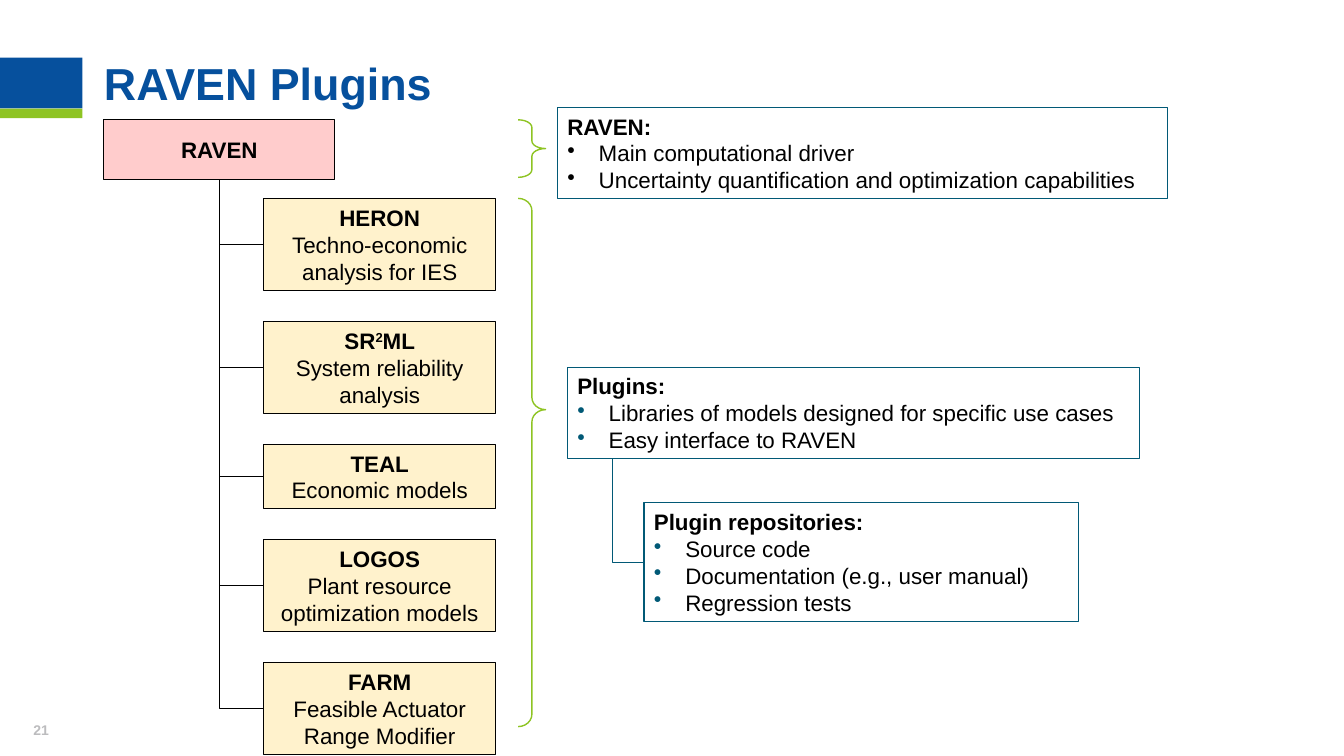
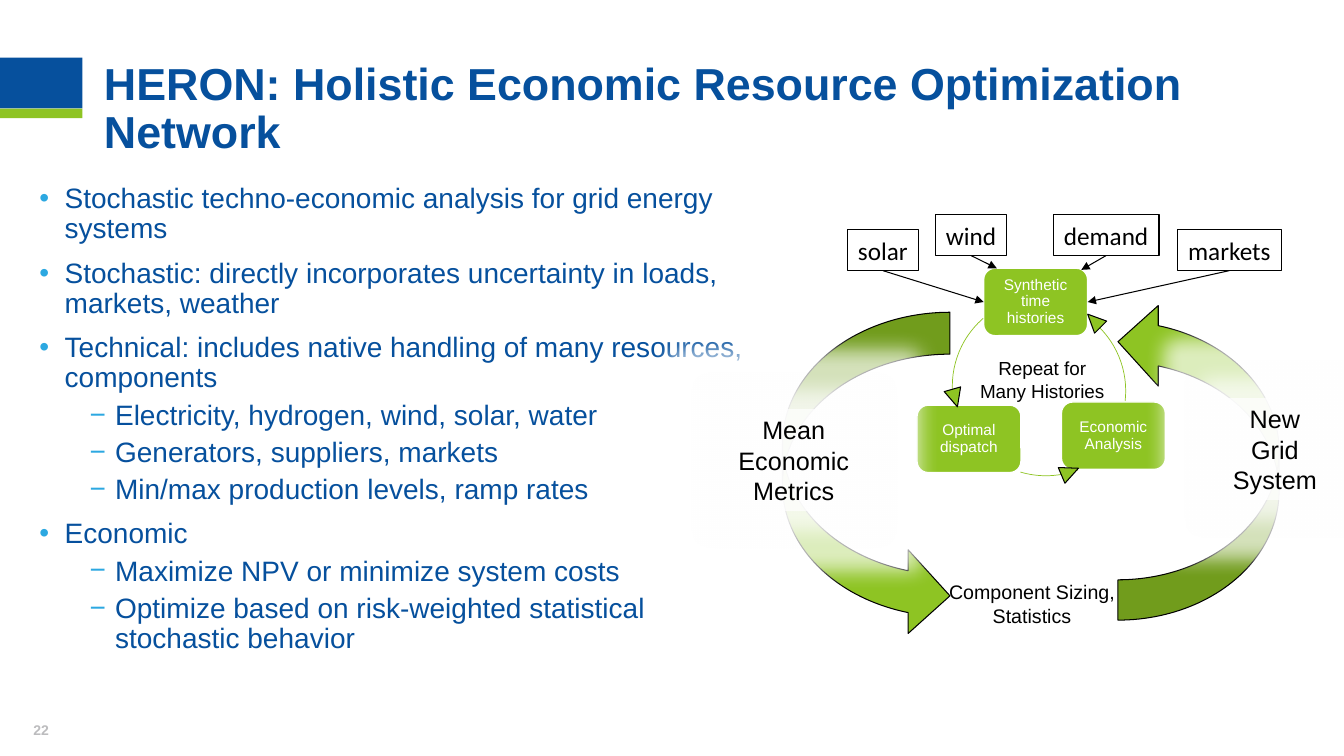
import pptx
import pptx.util
import pptx.dml.color
import pptx.enum.shapes
import pptx.enum.text
import pptx.oxml
import pptx.oxml.ns

Cm, Pt = pptx.util.Cm, pptx.util.Pt
RGB = pptx.dml.color.RGBColor
SHAPE = pptx.enum.shapes.MSO_SHAPE
CONNECTOR = pptx.enum.shapes.MSO_CONNECTOR
ALIGN = pptx.enum.text.PP_ALIGN
ANCHOR = pptx.enum.text.MSO_ANCHOR
qn = pptx.oxml.ns.qn

BLUE = RGB(0x06, 0x50, 0x9D)
GREEN = RGB(0x8E, 0xC4, 0x23)
TEAL = RGB(0x01, 0x59, 0x76)
SKY = RGB(0x2C, 0xA8, 0xE1)
GREY = RGB(0xBC, 0xBC, 0xBE)
PINK = RGB(0xFF, 0xCC, 0xCC)
CREAM = RGB(0xFF, 0xF2, 0xCC)
BLACK = RGB(0, 0, 0)
WHITE = RGB(255, 255, 255)

BANDS = [((0, 1.45, 2.08, 1.28), BLUE), ((0, 2.74, 2.08, 0.24), GREEN)]
TITLE_AT = (2.62, 1.55, 28.93, 1.37)
NUMBER_AT = (0.43, 18.03, 1.22, 1.02)
TITLE_FONT = dict(size=Pt(32), bold=True, color=BLUE)
NUMBER_FONT = dict(size=Pt(10), bold=True, color=GREY)

RAVEN_AT = (2.62, 3.02, 5.82, 1.5)
PLUGIN_LEFT, PLUGIN_TOP, PLUGIN_WIDTH, PLUGIN_GAP = 6.65, 5, 5.84, 0.78
PLUGINS = [
    ("HERON", "Techno-economic analysis for IES", 2.32),
    ("SR^2^ML", "System reliability analysis", 2.32),
    ("TEAL", "Economic models", 1.62),
    ("LOGOS", "Plant resource optimization models", 2.32),
    ("FARM", "Feasible Actuator Range Modifier", 2.32),
]
BRACES = [((13.06, 5, 0.69, 13.31), (0.45, 0.4)), ((13.06, 3.02, 0.69, 1.45), (0.28, 0.5))]
NOTES = [
    ((14.05, 2.7, 15.37, 2.31), BLACK, "RAVEN:",
     ["Main computational driver", "Uncertainty quantification and optimization capabilities"]),
    ((14.3, 9.25, 14.43, 2.31), TEAL, "Plugins:",
     ["Libraries of models designed for specific use cases", "Easy interface to RAVEN"]),
    ((16.23, 12.67, 10.95, 3), TEAL, "Plugin repositories:",
     ["Source code", "Documentation (e.g., user manual)", "Regression tests"]),
]
REPOSITORY_START = (15.44, 11.56)

BODY_AT = (0.99, 4.65, 18.31, 12.22)
BODY = [
    (0, "Stochastic techno-economic analysis for grid energy systems"),
    (0, "Stochastic: directly incorporates uncertainty in loads, markets, weather"),
    (0, "Technical: includes native handling of many resources, components"),
    (1, "Electricity, hydrogen, wind, solar, water"),
    (1, "Generators, suppliers, markets"),
    (1, "Min/max production levels, ramp rates"),
    (0, "Economic"),
    (1, "Maximize NPV or minimize system costs"),
    (1, "Optimize based on risk-weighted statistical stochastic behavior"),
]
LEVELS = [("•", 0.64, 10), ("−", 1.91, 5)]

NODE_SIZE = (2.62, 1.7)
NODES = [
    ("Synthetic time histories", (24.79, 6.76)),
    ("Economic Analysis", (26.75, 10.13)),
    ("Optimal dispatch", (23.11, 10.21)),
]
ARC_SIZE = (4.52, 4.52)
ARCS = [((23.85, 7.59), (-54, 6.5)), ((24.1, 7.47), (69, 106.5)), ((24, 7.47), (168.5, -131))]
TRIANGLE_SIZE = (0.43, 0.46)
TRIANGLES = [((27.36, 7.85), 315), ((23.85, 9.8), 164), ((26.75, 11.66), 67)]
LOOP_ARROWS = [((26.19, 9.58, 8.03, 4.06), 270), ((17.73, 9.86, 8.2, 4.22), 90)]
CAPTIONS = [
    ((23.65, 14.5, 4.72, 1.45), 14, False, ["Component Sizing,", "Statistics"]),
    ((24.41, 8.86, 3.71, 1.42), 13.5, True, ["Repeat for Many Histories"]),
]
INPUTS = [
    ("solar", (21.36, 5.79, 1.78, 1.03), 1),
    ("wind", (23.57, 5.41, 1.8, 1.03), (25.12, 6.76)),
    ("demand", (26.54, 5.41, 2.67, 1.03), (27.25, 6.8)),
    ("markets", (29.67, 5.79, 2.62, 1.03), 3),
]
STAGES = [
    ((18.34, 10.31, 3.33, 2.57), ["Mean", "Economic", "Metrics"]),
    ((30.81, 10.03, 2.64, 2.57), ["New", "Grid", "System"]),
]


def xml(parent, tag, **attrs):
    el = parent.makeelement(qn(tag), attrs)
    parent.append(el)
    return el


def place(sp, at):
    for name, value in zip(("left", "top", "width", "height"), at):
        setattr(sp, name, Cm(value))


def set_frame(tf, **values):
    for name, value in values.items():
        setattr(tf, name, value)


def set_margins(tf, *margins):
    for side, value in zip(("left", "top", "right", "bottom"), margins):
        setattr(tf, "margin_" + side, Cm(value))


def write(p, text, color=BLACK, name="Arial", **font):
    for i, part in enumerate(text.split("^")):
        r = p.add_run()
        r.text = part
        r.font.color.rgb = color
        for key, value in dict(font, name=name).items():
            setattr(r.font, key, value)
        if i % 2:
            r.font._element.set("baseline", "30000")


def next_paragraph(tf):
    p = tf.paragraphs[0]
    return tf.add_paragraph() if p.runs else p


def write_lines(tf, lines, align=ALIGN.CENTER, **font):
    for line in lines:
        p = next_paragraph(tf)
        p.alignment = align
        write(p, line, **font)


def bullet(p, char, color, left, hang):
    pPr = p._p.get_or_add_pPr()
    pPr.set("marL", str(Cm(left)))
    pPr.set("indent", str(-Cm(hang)))
    xml(xml(pPr, "a:buClr"), "a:srgbClr", val=str(color))
    xml(pPr, "a:buChar", char=char)


def add_shape(slide, kind, at, fill=None, line=None, width=0.75):
    sp = slide.shapes.add_shape(kind, *map(Cm, at))
    sp.shadow.inherit = False
    if fill is None:
        sp.fill.background()
    else:
        sp.fill.solid()
        sp.fill.fore_color.rgb = fill
    if line is None:
        sp.line.fill.background()
    else:
        sp.line.color.rgb = line
        sp.line.width = Pt(width)
    return sp


def add_line(slide, kind, start, end, color=BLACK, width=0.75):
    c = slide.shapes.add_connector(kind, *start, *end)
    c.line.color.rgb = color
    c.line.width = Pt(width)
    xml(c._element.spPr, "a:effectLst")
    return c


def add_elbow(slide, start, target, color, source=None):
    x, y = start
    end_x, end_y = target.left, target.top + target.height // 2
    c = add_line(slide, CONNECTOR.ELBOW, start, (end_x, end_y), color, 1)
    if source is not None:
        c.begin_connect(source, 2)
    c.end_connect(target, 1)
    across, down = end_x - x, end_y - y
    c.left, c.top = (x + end_x - down) // 2, (y + end_y - across) // 2
    c.width, c.height = down, across
    spPr = c._element.spPr
    spPr.find(qn("a:prstGeom")).set("prst", "bentConnector2")
    xfrm = spPr.find(qn("a:xfrm"))
    xfrm.set("rot", "16200000")
    xfrm.set("flipH", "1")


def add_slide(prs, layout, title, number):
    slide = prs.slides.add_slide(prs.slide_layouts[layout])
    sp = slide.shapes.title
    place(sp, TITLE_AT)
    tf = sp.text_frame
    set_frame(tf, vertical_anchor=ANCHOR.TOP, auto_size=pptx.enum.text.MSO_AUTO_SIZE.NONE)
    set_margins(tf, 0, 0, 0.25, 0.13)
    tf.paragraphs[0].line_spacing = 0.9
    write_lines(tf, [title], ALIGN.LEFT, **TITLE_FONT)
    tf = slide.shapes.add_textbox(*map(Cm, NUMBER_AT)).text_frame
    set_frame(tf, word_wrap=True, vertical_anchor=ANCHOR.MIDDLE)
    set_margins(tf, 0.25, 0.13, 0.25, 0.43)
    write_lines(tf, [number], **NUMBER_FONT)
    return slide


def add_bands(prs, slide):
    tree = prs.slide_master.shapes._spTree
    for at, color in BANDS:
        tree.append(add_shape(slide, SHAPE.RECTANGLE, at, color)._element)


def build_plugins(slide):
    raven = add_shape(slide, SHAPE.RECTANGLE, RAVEN_AT, PINK, BLACK)
    write_lines(raven.text_frame, ["RAVEN"], size=Pt(16), bold=True)
    start = (raven.left + raven.width // 2, raven.top + raven.height)
    top = PLUGIN_TOP
    for name, role, height in PLUGINS:
        sp = add_shape(slide, SHAPE.RECTANGLE, (PLUGIN_LEFT, top, PLUGIN_WIDTH, height), CREAM, BLACK)
        write_lines(sp.text_frame, [name], size=Pt(16), bold=True)
        write_lines(sp.text_frame, [role], size=Pt(16))
        add_elbow(slide, start, sp, BLACK, raven)
        top += height + PLUGIN_GAP
    for at, adjustments in BRACES:
        sp = add_shape(slide, SHAPE.RIGHT_BRACE, at, None, GREEN, 1)
        sp.adjustments[0], sp.adjustments[1] = adjustments
    for at, color, heading, items in NOTES:
        sp = add_shape(slide, SHAPE.RECTANGLE, at, None, TEAL)
        write_lines(sp.text_frame, [heading], ALIGN.LEFT, size=Pt(16), bold=True)
        for item in items:
            p = next_paragraph(sp.text_frame)
            p.alignment = ALIGN.LEFT
            bullet(p, "•", color, 0.79, 0.79)
            write(p, item, size=Pt(16))
    add_elbow(slide, tuple(map(Cm, REPOSITORY_START)), sp, TEAL)


def build_body(slide):
    sp = slide.placeholders[1]
    place(sp, BODY_AT)
    tf = sp.text_frame
    set_frame(tf, vertical_anchor=ANCHOR.TOP, auto_size=pptx.enum.text.MSO_AUTO_SIZE.NONE)
    set_margins(tf, 0, 0, 0.25, 0.13)
    for i, (level, text) in enumerate(BODY):
        p = next_paragraph(tf)
        char, left, before = LEVELS[level]
        bullet(p, char, SKY, left, 0.64)
        p.level = level
        p.line_spacing = 0.9
        p.space_before = Pt(before if i else 0)
        write(p, text, BLUE, size=Pt(20))


def build_cycle(slide):
    nodes = []
    for text, at in NODES:
        sp = add_shape(slide, SHAPE.ROUNDED_RECTANGLE, at + NODE_SIZE, GREEN, WHITE, 1)
        set_margins(sp.text_frame, 0.2, 0.2, 0.2, 0.2)
        write_lines(sp.text_frame, [text], size=Pt(11), color=WHITE)
        sp.text_frame.paragraphs[0].line_spacing = 0.9
        nodes.append(sp)
    for at, angles in ARCS:
        sp = add_shape(slide, SHAPE.ARC, at + ARC_SIZE, None, GREEN, 0.5)
        for i, angle in enumerate(angles):
            sp.adjustments[i] = angle % 360 * 0.6
    for at, turn in LOOP_ARROWS:
        add_shape(slide, SHAPE.CURVED_UP_ARROW, at, GREEN, BLACK).rotation = turn
    for at, size, wrap, lines in CAPTIONS:
        tf = slide.shapes.add_textbox(*map(Cm, at)).text_frame
        tf.word_wrap = wrap
        write_lines(tf, lines, size=Pt(size))
    for at, turn in TRIANGLES:
        add_shape(slide, SHAPE.ISOSCELES_TRIANGLE, at + TRIANGLE_SIZE, GREEN, BLACK).rotation = turn
    for text, at, end in INPUTS:
        sp = add_shape(slide, SHAPE.RECTANGLE, at, None, BLACK)
        sp.text_frame.word_wrap = False
        write_lines(sp.text_frame, [text], name="Calibri", size=Pt(18))
        joined = isinstance(end, int)
        point = (0, 0) if joined else tuple(map(Cm, end))
        c = add_line(slide, CONNECTOR.STRAIGHT, (0, 0), point)
        c.begin_connect(sp, 2)
        if joined:
            c.end_connect(nodes[0], end)
        xml(c.line._get_or_add_ln(), "a:tailEnd", type="triangle")
    for at, lines in STAGES:
        sp = add_shape(slide, SHAPE.RECTANGLE, at, WHITE)
        spPr = sp._element.spPr
        xml(spPr.find(qn("a:solidFill"))[0], "a:alpha", val="70000")
        glow = xml(spPr.find(qn("a:effectLst")), "a:glow", rad=str(Cm(1)))
        xml(xml(glow, "a:srgbClr", val=str(WHITE)), "a:alpha", val="70000")
        sp.text_frame.word_wrap = False
        write_lines(sp.text_frame, lines, size=Pt(18))


def main():
    prs = pptx.Presentation()
    prs.slide_width, prs.slide_height = Cm(33.87), Cm(19.05)
    plugins = add_slide(prs, 5, "RAVEN Plugins", "21")
    add_bands(prs, plugins)
    build_plugins(plugins)
    heron = add_slide(prs, 1, "HERON: Holistic Economic Resource Optimization Network", "22")
    build_body(heron)
    build_cycle(heron)
    prs.save("out.pptx")


if __name__ == "__main__":
    main()
